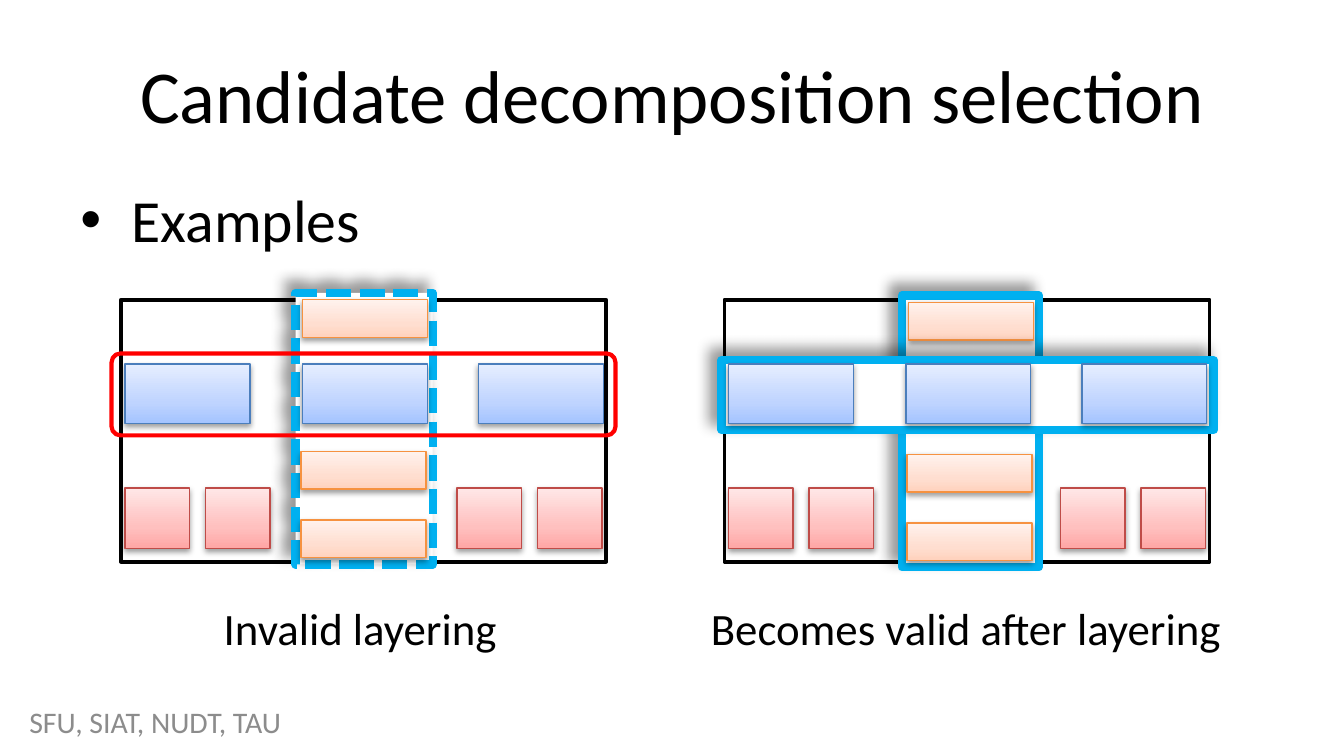
from copy import deepcopy

from lxml import etree
from pptx import Presentation
from pptx.dml.color import RGBColor
from pptx.enum.dml import MSO_LINE
from pptx.enum.shapes import MSO_SHAPE
from pptx.enum.text import MSO_ANCHOR, PP_ALIGN
from pptx.oxml.ns import qn
from pptx.util import Inches, Pt

RECT, ROUND_RECT = MSO_SHAPE.RECTANGLE, MSO_SHAPE.ROUNDED_RECTANGLE
LEFT, CENTER = PP_ALIGN.LEFT, PP_ALIGN.CENTER
TOP, MIDDLE = MSO_ANCHOR.TOP, MSO_ANCHOR.MIDDLE
DASH = MSO_LINE.SQUARE_DOT  # written as sysDash

BLACK = RGBColor(0x00, 0x00, 0x00)
WHITE = RGBColor(0xFF, 0xFF, 0xFF)
GRAY = RGBColor(0x8C, 0x8C, 0x8C)
RED = RGBColor(0xFF, 0x00, 0x00)
CYAN = RGBColor(0x00, 0xB0, 0xF0)

# Block styles: gradient from bottom to top, then outline
BLUE_BLOCK = ((RGBColor(0xA4, 0xC4, 0xFF), RGBColor(0xBF, 0xD4, 0xFF),
               RGBColor(0xE6, 0xEE, 0xFF)), RGBColor(0x4B, 0x7E, 0xBC))
RED_BLOCK = ((RGBColor(0xFF, 0xA6, 0xA5), RGBColor(0xFF, 0xC0, 0xBF),
              RGBColor(0xFF, 0xE7, 0xE7)), RGBColor(0xBF, 0x4C, 0x48))
ORANGE_BLOCK = ((RGBColor(0xFF, 0xD2, 0xBD), RGBColor(0xFF, 0xDE, 0xD0),
                 RGBColor(0xFF, 0xF2, 0xED)), RGBColor(0xF6, 0x92, 0x40))
STOPS = (0, 0.35, 1)

# Shadows: opacity in percent, blur and distance in points, direction in degrees
BLOCK_SHADOW = (38, 3.1, 1.6, 90)
PANEL_SHADOW = (40, 7, 7, 225)

# Layout shared by both diagrams, x measured from the frame's left side
FRAME_Y = 2.23
BLUE_X, BLUE_Y = (0.03, 1.35, 2.66), 2.71
RED_X, RED_Y = (0.03, 0.63, 2.5, 3.1), 3.63
# Orange blocks, measured from the column's corner
ORANGE_AT = ((0.05, 0.05), (0.04, 1.18), (0.04, 1.69))


class SlideBuilder:
    font = "Calibri"

    def __init__(self, slide):
        self.slide = slide

    def text(self, text, x, y, w, h, size=24, color=BLACK, align=LEFT,
             anchor=TOP, bullet=False):
        tb = self.slide.shapes.add_textbox(Inches(x), Inches(y), Inches(w), Inches(h))
        tf = tb.text_frame
        tf.word_wrap = True
        tf.vertical_anchor = anchor
        p = tf.paragraphs[0]
        p.alignment = align
        if bullet:
            pPr = p._p.get_or_add_pPr()
            pPr.set("marL", str(Inches(0.38)))
            pPr.set("indent", str(-Inches(0.38)))
            etree.SubElement(pPr, qn("a:buFont"), typeface="Arial")
            etree.SubElement(pPr, qn("a:buChar"), char="•")
        r = p.add_run()
        r.text = text
        r.font.name = self.font
        r.font.size = Pt(size)
        r.font.color.rgb = color

    def box(self, x, y, w, h, line, weight, fill=None, dash=None,
            shadow=None, kind=RECT, radius=None):
        sp = self.slide.shapes.add_shape(kind, Inches(x), Inches(y), Inches(w), Inches(h))
        if radius is not None:
            sp.adjustments[0] = radius
        if fill is None:
            sp.fill.background()
        else:
            sp.fill.solid()
            sp.fill.fore_color.rgb = fill
        sp.line.color.rgb = line
        sp.line.width = Pt(weight)
        if dash:
            sp.line.dash_style = dash
        sp.shadow.inherit = False
        if shadow:
            self.cast_shadow(sp, *shadow)
        return sp

    def cast_shadow(self, sp, opacity, blur, dist, angle):
        effects = sp._element.spPr.find(qn("a:effectLst"))
        outer = etree.SubElement(
            effects, qn("a:outerShdw"), blurRad=str(Pt(blur)), dist=str(Pt(dist)),
            dir=str(angle * 60000), rotWithShape="0")
        clr = etree.SubElement(outer, qn("a:srgbClr"), val=str(BLACK))
        etree.SubElement(clr, qn("a:alpha"), val=str(opacity * 1000))

    def block(self, x, y, w, h, style):
        """Draw a small gradient block with a soft shadow below it."""
        colors, line = style
        sp = self.box(x, y, w, h, line, 0.75, shadow=BLOCK_SHADOW)
        sp.fill.gradient()
        sp.fill.gradient_angle = 90
        stops = sp._element.spPr.find(qn("a:gradFill")).find(qn("a:gsLst"))
        stops.append(deepcopy(stops[0]))
        for stop, position, color in zip(sp.fill.gradient_stops, STOPS, colors):
            stop.position = position
            stop.color.rgb = color

    def blue_blocks(self, xs):
        for x in xs:
            self.block(x, BLUE_Y, 0.93, 0.44, BLUE_BLOCK)

    def frame(self, x):
        """Draw the outer frame and its bottom row of red blocks."""
        self.box(x, FRAME_Y, 3.61, 1.95, BLACK, 2)
        for dx in RED_X:
            self.block(x + dx, RED_Y, 0.48, 0.45, RED_BLOCK)

    def panel(self, x, y, w, h, dash=None):
        self.box(x, y, w, h, CYAN, 4.5, fill=WHITE, dash=dash, shadow=PANEL_SHADOW)

    def column(self, x, y, dash=None):
        """Draw the upright panel with its orange blocks."""
        self.panel(x, y, 1.02, 2.02, dash)
        for dx, dy in ORANGE_AT:
            self.block(x + dx, y + dy, 0.93, 0.28, ORANGE_BLOCK)


def main():
    prs = Presentation()
    prs.slide_width = Inches(10)
    prs.slide_height = Inches(10 * 9 / 16)
    s = SlideBuilder(prs.slides.add_slide(prs.slide_layouts[6]))

    s.text("Candidate decomposition selection", 0.5, 0.23, 9, 0.94, size=40,
           align=CENTER, anchor=MIDDLE)
    s.text("Examples", 0.5, 1.31, 9, 3.71, size=32, bullet=True)
    s.text("Invalid layering", 1.5, 4.42, 2.36, 0.5, align=CENTER)
    s.text("Becomes valid after layering", 5.14, 4.42, 4.09, 0.5, align=CENTER)

    # Invalid: the row outline cuts through the dashed column
    left = 0.9
    blue_left, blue_middle, blue_right = (left + dx for dx in BLUE_X)
    s.frame(left)
    s.blue_blocks((blue_left, blue_right))
    s.column(2.2, 2.18, dash=DASH)
    s.box(0.83, 2.63, 3.75, 0.61, RED, 2.25, kind=ROUND_RECT, radius=0.11)
    s.blue_blocks((blue_middle,))

    # Valid: the row lies on a layer above the column
    right = 5.39
    s.frame(right)
    s.column(6.71, 2.2)
    s.panel(5.37, 2.68, 3.66, 0.52)
    s.blue_blocks(right + dx for dx in BLUE_X)

    s.text("SFU, SIAT, NUDT, TAU", 0.12, 5.22, 2.36, 0.3, size=16, color=GRAY,
           anchor=MIDDLE)
    prs.save("out.pptx")


if __name__ == "__main__":
    main()
